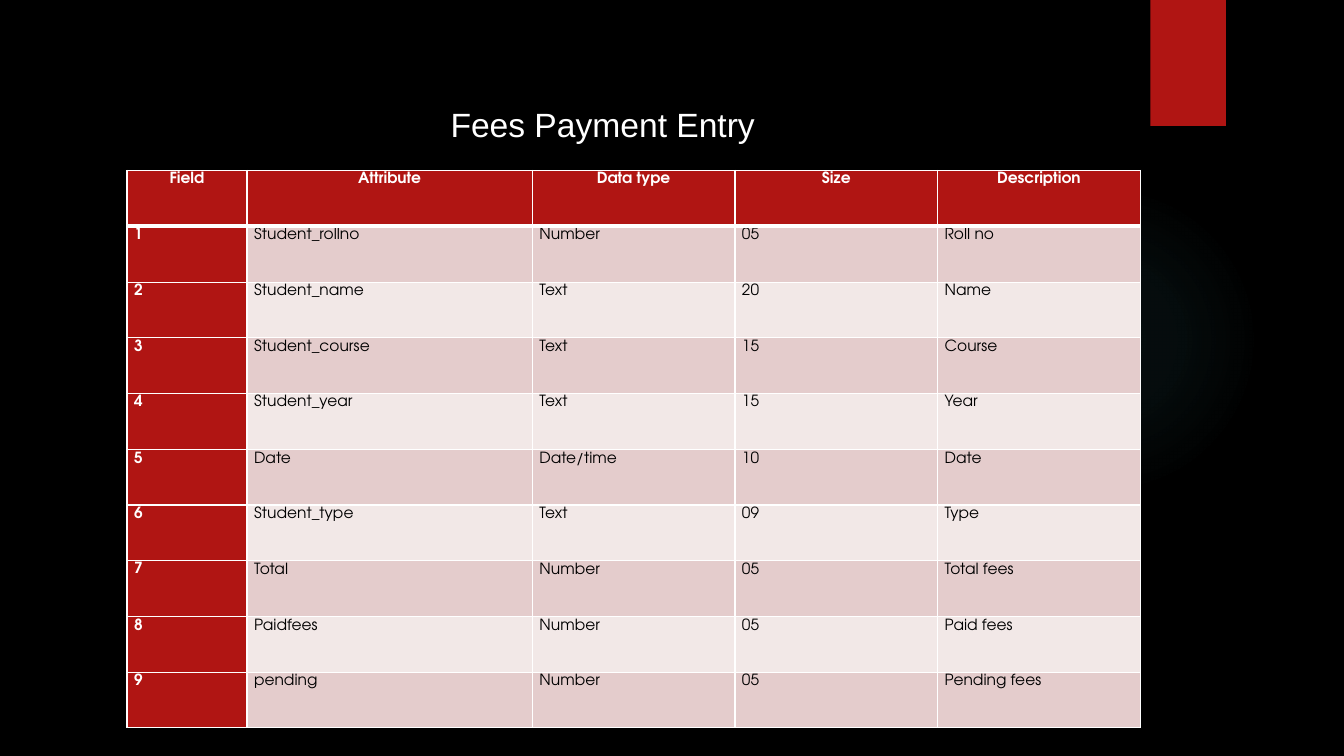
"""Build the Fees Payment Entry data dictionary slide."""
from dataclasses import astuple, dataclass

from pptx import Presentation
from pptx.dml.color import RGBColor
from pptx.enum.shapes import MSO_SHAPE
from pptx.enum.text import MSO_ANCHOR, PP_ALIGN
from pptx.oxml import parse_xml
from pptx.oxml.ns import nsdecls, qn
from pptx.shapes.autoshape import Shape
from pptx.slide import Slide
from pptx.table import _Cell
from pptx.util import Inches, Pt

BLACK = RGBColor(0x00, 0x00, 0x00)
WHITE = RGBColor(0xFF, 0xFF, 0xFF)
RED = RGBColor(0xB0, 0x15, 0x13)
DARK_BAND = RGBColor(0xE4, 0xCC, 0xCC)
LIGHT_BAND = RGBColor(0xF2, 0xE8, 0xE7)
TEAL = RGBColor(0x50, 0xB9, 0xC1)

TITLE_FONT = "Arial"
TABLE_FONT = "TeX Gyre Adventor"
COLUMN_WIDTHS = (1.19, 2.83, 2.01, 2.01, 2.01)
ROW_HEIGHT, TALL_ROW_HEIGHT = 0.55, 0.56
GLOW_STOPS = ((0, 7), (36, 6), (69, 0))


@dataclass(frozen=True)
class Entry:
    field: str
    attribute: str
    data_type: str
    size: str
    description: str


ENTRIES = (
    Entry("Field", "Attribute", "Data type", "Size", "Description"),
    Entry("1", "Student_rollno", "Number", "05", "Roll no"),
    Entry("2", "Student_name", "Text", "20", "Name"),
    Entry("3", "Student_course", "Text", "15", "Course"),
    Entry("4", "Student_year", "Text", "15", "Year"),
    Entry("5", "Date", "Date/time", "10", "Date"),
    Entry("6", "Student_type", "Text", "09", "Type"),
    Entry("7", "Total", "Number", "05", "Total fees"),
    Entry("8", "Paidfees", "Number", "05", "Paid fees"),
    Entry("9", "pending", "Number", "05", "Pending fees"),
)


def add_plain_shape(slide: Slide, kind: MSO_SHAPE, left: float, top: float,
                    width: float, height: float) -> Shape:
    shape = slide.shapes.add_shape(
        kind, Inches(left), Inches(top), Inches(width), Inches(height))
    shape.shadow.inherit = False
    shape.line.fill.background()
    return shape


def add_glow(slide: Slide) -> None:
    glow = add_plain_shape(slide, MSO_SHAPE.OVAL, 9.41, 1.83, 3.08, 3.08)
    glow.fill.background()
    stops = "".join(
        f'<a:gs pos="{position * 1000}"><a:srgbClr val="{TEAL}">'
        f'<a:alpha val="{alpha * 1000}"/></a:srgbClr></a:gs>'
        for position, alpha in GLOW_STOPS)
    gradient = parse_xml(
        f'<a:gradFill {nsdecls("a")} rotWithShape="1"><a:gsLst>{stops}</a:gsLst>'
        '<a:path path="circle"><a:fillToRect l="50000" t="50000" r="50000" b="50000"/>'
        '</a:path></a:gradFill>')
    properties = glow._element.spPr
    properties.replace(properties.find(qn("a:noFill")), gradient)


def add_ribbon(slide: Slide) -> None:
    ribbon = add_plain_shape(slide, MSO_SHAPE.RECTANGLE, 11.41, 0, 0.75, 1.25)
    ribbon.fill.solid()
    ribbon.fill.fore_color.rgb = RED
    effects = ribbon._element.spPr.find(qn("a:effectLst"))
    effects.append(parse_xml(
        f'<a:outerShdw {nsdecls("a")} blurRad="{Pt(3)}" dist="{Pt(2)}" dir="5400000" '
        f'rotWithShape="0"><a:srgbClr val="{BLACK}"><a:alpha val="45000"/></a:srgbClr>'
        '</a:outerShdw>'))


def set_borders(cell: _Cell, row: int) -> None:
    widths = {"L": 1, "R": 1, "T": 3 if row == 1 else 1, "B": 3 if row == 0 else 1}
    properties = cell._tc.get_or_add_tcPr()
    for side, width in widths.items():
        properties.append(parse_xml(
            f'<a:ln{side} {nsdecls("a")} w="{Pt(width)}"><a:solidFill>'
            f'<a:srgbClr val="{WHITE}"/></a:solidFill></a:ln{side}>'))


def fill_cell(cell: _Cell, text: str, row: int, column: int) -> None:
    is_heading = row == 0 or column == 0
    set_borders(cell, row)
    cell.fill.solid()
    cell.fill.fore_color.rgb = (
        RED if is_heading else DARK_BAND if row % 2 else LIGHT_BAND)
    cell.margin_left = cell.margin_right = Inches(0.07)
    cell.margin_top = cell.margin_bottom = 0
    cell.vertical_anchor = MSO_ANCHOR.TOP
    cell.text_frame.text = text
    paragraph = cell.text_frame.paragraphs[0]
    paragraph.alignment = PP_ALIGN.CENTER if row == 0 else PP_ALIGN.LEFT
    paragraph.line_spacing = 1.15
    font = paragraph.runs[0].font
    font.name, font.size, font.bold = TABLE_FONT, Pt(11), is_heading
    font.color.rgb = WHITE if is_heading else BLACK


def add_entries(slide: Slide) -> None:
    heights = [TALL_ROW_HEIGHT if row % 3 == 1 else ROW_HEIGHT
               for row in range(len(ENTRIES))]
    table = slide.shapes.add_table(
        len(ENTRIES), len(COLUMN_WIDTHS), Inches(1.26), Inches(1.69),
        Inches(sum(COLUMN_WIDTHS)), Inches(sum(heights))).table
    for column, width in enumerate(COLUMN_WIDTHS):
        table.columns[column].width = Inches(width)
    for row, (entry, height) in enumerate(zip(ENTRIES, heights)):
        table.rows[row].height = Inches(height)
        for column, text in enumerate(astuple(entry)):
            fill_cell(table.cell(row, column), text, row, column)


def add_title(slide: Slide) -> None:
    title = slide.shapes.add_textbox(
        Inches(4.37), Inches(0.98), Inches(4.24), Inches(0.5)).text_frame
    title.word_wrap = True
    title.text = "Fees Payment Entry"
    font = title.paragraphs[0].runs[0].font
    font.name, font.size = TITLE_FONT, Pt(24)
    font.color.rgb = WHITE


def main() -> None:
    presentation = Presentation()
    presentation.slide_width = Inches(13.33)
    presentation.slide_height = Inches(7.5)
    slide = presentation.slides.add_slide(presentation.slide_layouts[6])
    slide.background.fill.solid()
    slide.background.fill.fore_color.rgb = BLACK
    add_glow(slide)
    add_ribbon(slide)
    add_entries(slide)
    add_title(slide)
    presentation.save("out.pptx")


if __name__ == "__main__":
    main()
